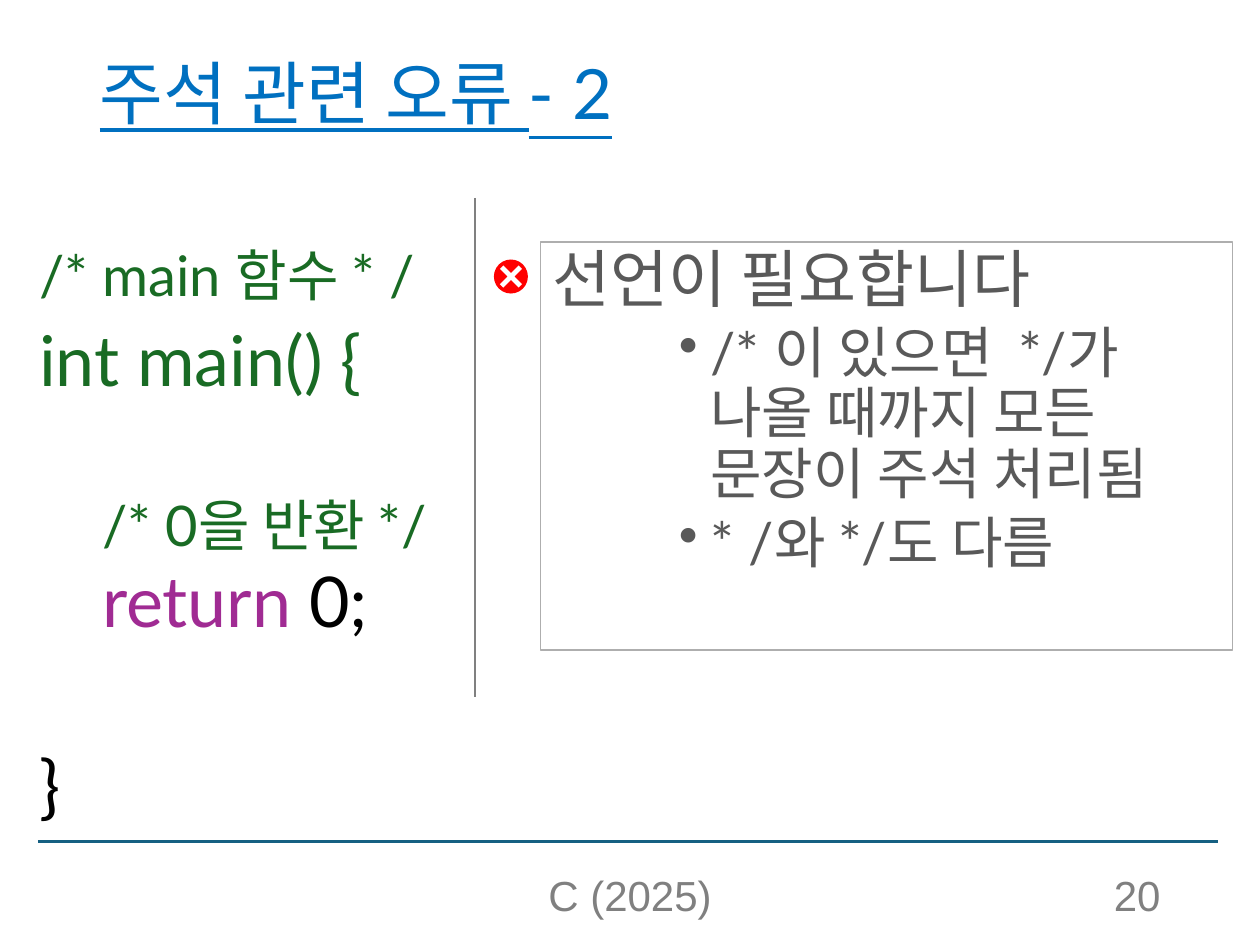
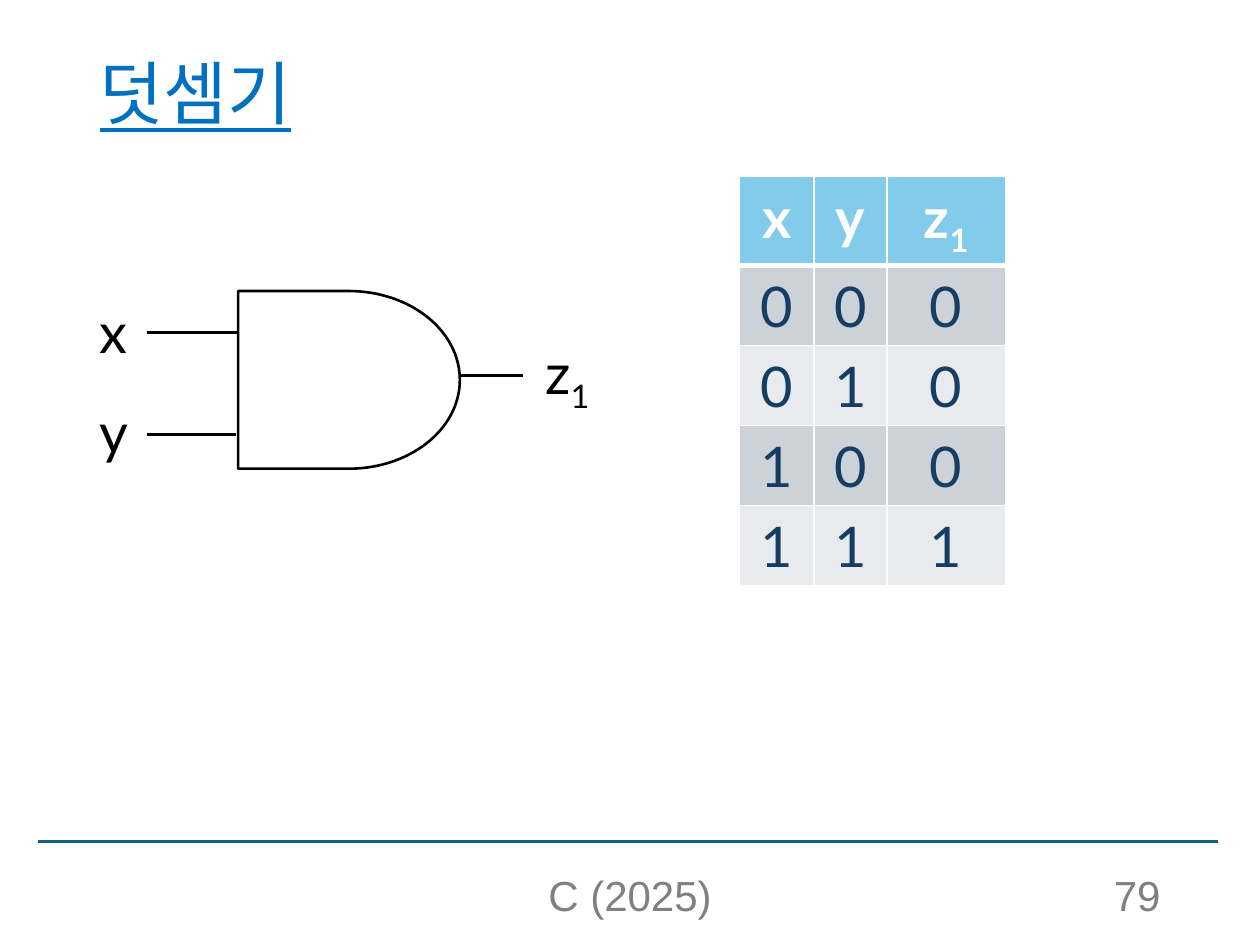
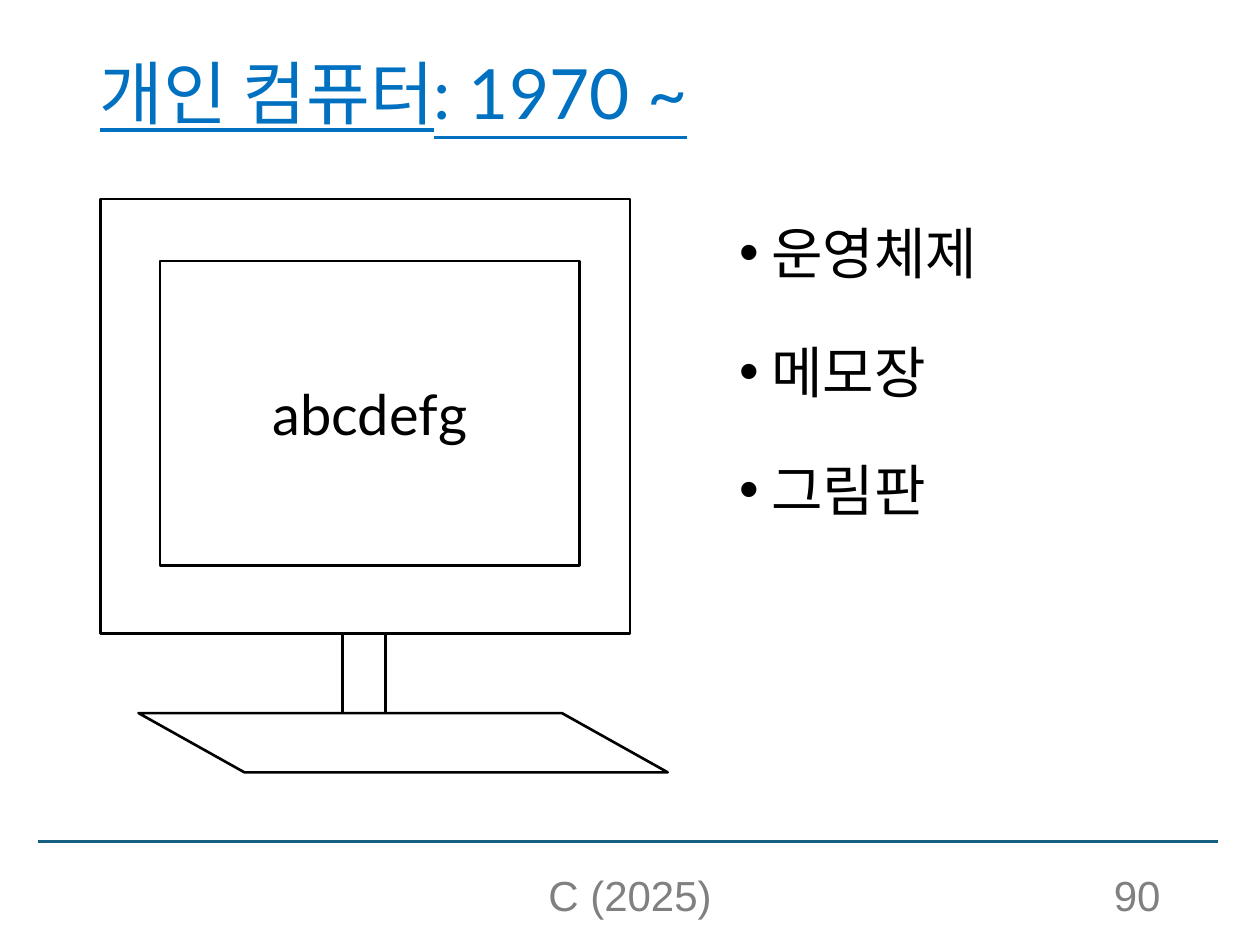
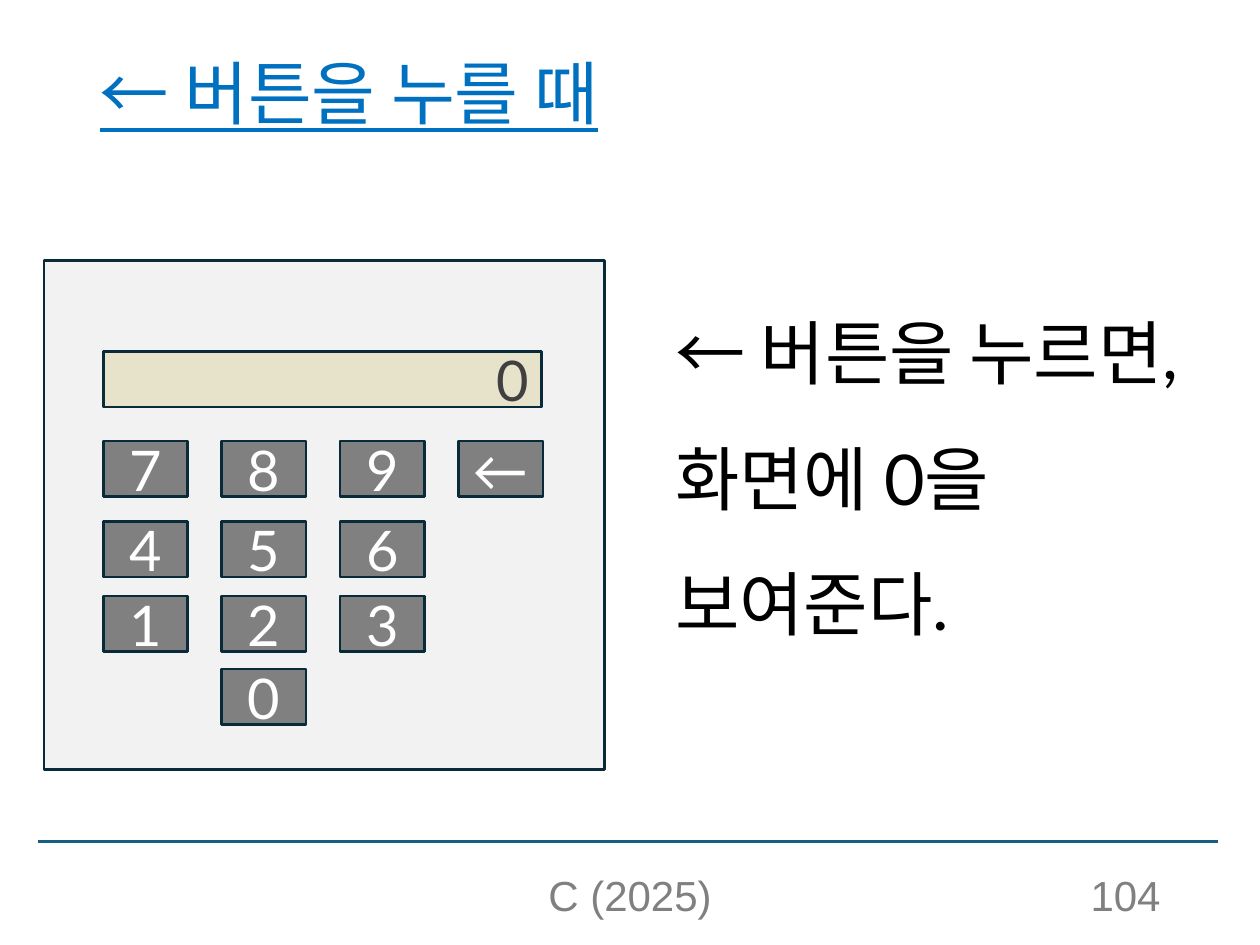
import pptx
import pptx.dml.color
import pptx.enum.shapes
import pptx.enum.text
import pptx.oxml.ns
import pptx.util

Inches = pptx.util.Inches
Pt = pptx.util.Pt
qn = pptx.oxml.ns.qn
Kind = pptx.enum.shapes.MSO_SHAPE
Align = pptx.enum.text.PP_ALIGN
Anchor = pptx.enum.text.MSO_ANCHOR
Fit = pptx.enum.text.MSO_AUTO_SIZE

HUES = {
    "title": "0070C0", "rule": "156082", "grey": "808080", "text": "595959",
    "frame": "AEAEAE", "black": "000000", "white": "FFFFFF", "red": "FF0000",
    "green": "196B24", "plum": "A02B93", "head": "83CBEB", "odd": "CCD2D8",
    "even": "E8EAED", "navy": "163E64", "edge": "092A39", "case": "F2F2F2",
    "screen": "E7E3CB", "ink": "404040",
}


def paint(name):
    return pptx.dml.color.RGBColor.from_string(HUES[name])


def lengths(box):
    return [Inches(n) for n in box]


def child(node, tag, **attrs):
    item = node.makeelement(qn(tag), attrs)
    node.append(item)
    return item


class Deck:
    def __init__(self):
        self.file = pptx.Presentation()
        self.file.slide_width = Inches(10)
        self.file.slide_height = Inches(7.5)
        self.font = {"name": "Lato", "size": 32, "hue": "black"}
        self.slide = None
        self.place = None

    def start(self, title, number, width, body=False):
        layout = self.file.slide_layouts[1 if body else 5]
        self.slide = self.file.slides.add_slide(layout)
        self.place = self.slide.shapes
        if len(self.file.slides) == 1:
            rule = self.line((0.3, 6.68), (9.67, 6.68), "rule")
            self.file.slide_master.element.cSld.spTree.append(rule.element)
        self.fill(self.slide.shapes.title, (0.69, 0.4, width, 0.74),
                  [self.para(title, size=39.6, hue="title", underline=True,
                             line_spacing=0.9)], vertical_anchor=Anchor.MIDDLE)
        foot = {"name": "Arial", "size": 24, "hue": "grey"}
        for text, box, side in (("C (2025)", (3.31, 6.95, 3.38, 0.4), Align.CENTER),
                                (number, (7.06, 6.95, 2.25, 0.4), Align.RIGHT)):
            self.label(box, [self.para(text, alignment=side, **foot)],
                       vertical_anchor=Anchor.BOTTOM)

    def group(self):
        self.place = self.slide.shapes.add_group_shape().shapes

    def para(self, text, **form):
        runs = [(text, {})] if isinstance(text, str) else text
        return runs, form

    def compose(self, frame, paras):
        for spot, (runs, form) in enumerate(paras):
            para = frame.paragraphs[0] if spot == 0 else frame.add_paragraph()
            form = {"alignment": Align.LEFT, "space_before": 0, **form}
            base = dict(self.font)
            bullet, indent = form.pop("bullet", False), form.pop("indent", (0, 0))
            for key in ("name", "size", "hue", "bold", "underline"):
                if key in form:
                    base[key] = form.pop(key)
            form["space_before"] = Pt(form["space_before"])
            for key, value in form.items():
                setattr(para, key, value)
            props = para._p.get_or_add_pPr()
            for key, value in zip(("marL", "indent"), indent):
                props.set(key, str(Inches(value)))
            if bullet:
                child(props, "a:buChar", char="•")
            else:
                child(props, "a:buNone")
            for text, change in runs:
                self.span(para, text, {**base, **change})

    def span(self, para, text, form):
        run = para.add_run()
        run.text = text
        form["size"] = Pt(form["size"])
        run.font.color.rgb = paint(form.pop("hue"))
        if form.pop("sub", False):
            run._r.get_or_add_rPr().set("baseline", "-25000")
        for key, value in form.items():
            setattr(run.font, key, value)

    def fill(self, shape, box, paras, **form):
        shape.left, shape.top, shape.width, shape.height = lengths(box)
        form = {"word_wrap": True, "auto_size": Fit.NONE,
                "vertical_anchor": Anchor.TOP, **form}
        for key, value in form.items():
            setattr(shape.text_frame, key, value)
        self.compose(shape.text_frame, paras)

    def body(self, box, paras, **form):
        self.fill(self.slide.placeholders[1], box, paras, **form)

    def label(self, box, paras, **form):
        self.fill(self.place.add_textbox(*lengths(box)), box, paras, **form)

    def shape(self, kind, box, fill=None, edge=None, paras=(), width=1.5,
              anchor=Anchor.MIDDLE):
        shape = self.place.add_shape(kind, *lengths(box))
        shape.shadow.inherit = False
        if fill:
            shape.fill.solid()
            shape.fill.fore_color.rgb = paint(fill)
        else:
            shape.fill.background()
        if edge:
            shape.line.color.rgb = paint(edge)
            shape.line.width = Pt(width)
        else:
            shape.line.fill.background()
        if paras:
            self.fill(shape, box, paras, vertical_anchor=anchor)
        return shape

    def line(self, start, end, hue="black"):
        line = self.place.add_connector(
            pptx.enum.shapes.MSO_CONNECTOR.STRAIGHT, *lengths(start + end))
        line.line.color.rgb = paint(hue)
        line.line.width = Pt(1.5)
        child(line.element.spPr, "a:effectLst")
        return line

    def table(self, box, widths, rows):
        grid = self.place.add_table(len(rows), len(widths), *lengths(box)).table
        for column, width in zip(grid.columns, widths):
            column.width = Inches(width)
        for down, row in enumerate(rows):
            grid.rows[down].height = Inches(0.58)
            top = down == 0
            for across, text in enumerate(row):
                cell = grid.cell(down, across)
                self.compose(cell.text_frame, [self.para(
                    text, alignment=Align.CENTER, bold=top,
                    hue="white" if top else "navy")])
                self.border(cell, 3 if top else 1, 3 if down == 1 else 1)
                cell.fill.solid()
                cell.fill.fore_color.rgb = paint(
                    "head" if top else ("even", "odd")[down % 2])

    def border(self, cell, below, above):
        props = cell._tc.get_or_add_tcPr()
        for side, width in zip("LRTB", (1, 1, above, below)):
            edge = child(props, f"a:ln{side}", w=str(Pt(width)))
            child(child(edge, "a:solidFill"), "a:srgbClr", val=HUES["white"])


def comment(deck):
    deck.start("주석 관련 오류 - 2", "20", 8.62, body=True)
    deck.line((3.77, 1.57), (3.77, 5.53), "grey")
    head = {"line_spacing": 0.9, "space_before": 10}
    sub = {"line_spacing": 0.9, "space_before": 5}
    point = {**sub, "level": 2, "indent": (1.25, -0.25), "bullet": True,
             "hue": "text"}
    deck.shape(Kind.RECTANGLE, (4.29, 1.92, 5.49, 3.24), edge="frame",
               width=0.75, anchor=Anchor.TOP, paras=[
                   deck.para("선언이 필요합니다", size=36, hue="text", **head),
                   deck.para("/* 이 있으면  */가 나올 때까지 모든 문장이 주석 처리됨", **point),
                   deck.para("* /와 */도 다름", **point)])
    code = {**sub, "level": 1, "indent": (0.5, 0)}
    deck.body((0.21, 1.3, 7.33, 5.3), [
        deck.para("/* main 함수 * /", hue="green", **head),
        deck.para("int main() {", size=40, hue="green", **head),
        deck.para("/* 0을 반환 */", hue="green", **{**code, "space_before": 55}),
        deck.para([("return", {"hue": "plum"}), (" 0;", {})], size=40, **code),
        deck.para("}", size=40, **{**head, "space_before": 62}),
    ], margin_top=Inches(0.67))
    deck.group()
    deck.shape(Kind.OVAL, (3.92, 2.06, 0.27, 0.27), "red")
    cross = deck.shape(Kind.CROSS, (3.95, 2.09, 0.21, 0.21), "white")
    cross.rotation = 45
    cross.adjustments[0] = 0.41


def adder(deck):
    deck.start("덧셈기", "79", 9.31)
    out = [("z", {}), ("1", {"sub": True})]
    deck.table((5.87, 1.4, 2.11, 2.9), (0.59, 0.58, 0.94),
               [("x", "y", out), "000", "010", "100", "111"])
    for start, end in (((1.17, 2.64), (1.88, 2.64)),
                       ((1.17, 3.45), (1.87, 3.45)),
                       ((3.6, 2.98), (4.15, 2.98))):
        deck.line(start, end)
    for text, box in (("x", (0.69, 2.31, 0.4, 0.64)),
                      ("y", (0.69, 3.11, 0.41, 0.64)),
                      (out, (4.23, 2.64, 0.56, 0.64))):
        deck.label(box, [deck.para(text)], word_wrap=False,
                   auto_size=Fit.SHAPE_TO_FIT_TEXT)
    deck.shape(Kind.FLOWCHART_DELAY, (1.89, 2.31, 1.76, 1.41), "white", "black")


def computer(deck):
    deck.start("개인 컴퓨터: 1970 ~", "90", 9.31, body=True)
    deck.shape(Kind.RECTANGLE, (0.8, 1.58, 4.2, 3.45), edge="black")
    for left in (2.72, 3.06):
        deck.line((left, 5.66), (left, 5.03))
    base = deck.shape(Kind.FLOWCHART_DATA, (1.1, 5.66, 4.2, 0.47), edge="black")
    base.element.spPr.find(qn("a:xfrm")).set("flipH", "1")
    deck.shape(Kind.RECTANGLE, (1.27, 2.07, 3.33, 2.42), edge="black",
               paras=[deck.para("abcdefg", alignment=Align.CENTER)])
    deck.body((5.77, 1.42, 3.54, 4.71), [
        deck.para(text, line_spacing=1.5, space_before=10,
                  indent=(0.25, -0.25), bullet=True)
        for text in ("운영체제", "메모장", "그림판")])


def button(deck):
    deck.start("← 버튼을 누를 때", "104", 9.03, body=True)
    deck.body((5.26, 2.07, 4.45, 4.04), [
        deck.para("← 버튼을 누르면, 화면에 0을 보여준다.", size=40,
                  line_spacing=1.5, space_before=10)])
    deck.group()
    deck.shape(Kind.RECTANGLE, (0.35, 2.07, 4.45, 4.04), "case", "edge")
    for top, keys in ((3.5, "789←"), (4.14, "456"), (4.73, "123"), (5.31, " 0")):
        for across, key in enumerate(keys):
            if key != " ":
                deck.shape(Kind.RECTANGLE, (0.82 + 0.94 * across, top, 0.67, 0.44),
                           "grey", "edge",
                           [deck.para(key, hue="white", alignment=Align.CENTER)])
    deck.shape(Kind.RECTANGLE, (0.82, 2.79, 3.48, 0.44), "screen", "edge",
               [deck.para("0", hue="ink", alignment=Align.RIGHT)])


def main():
    deck = Deck()
    for build in (comment, adder, computer, button):
        build(deck)
    deck.file.save("out.pptx")


if __name__ == "__main__":
    main()
